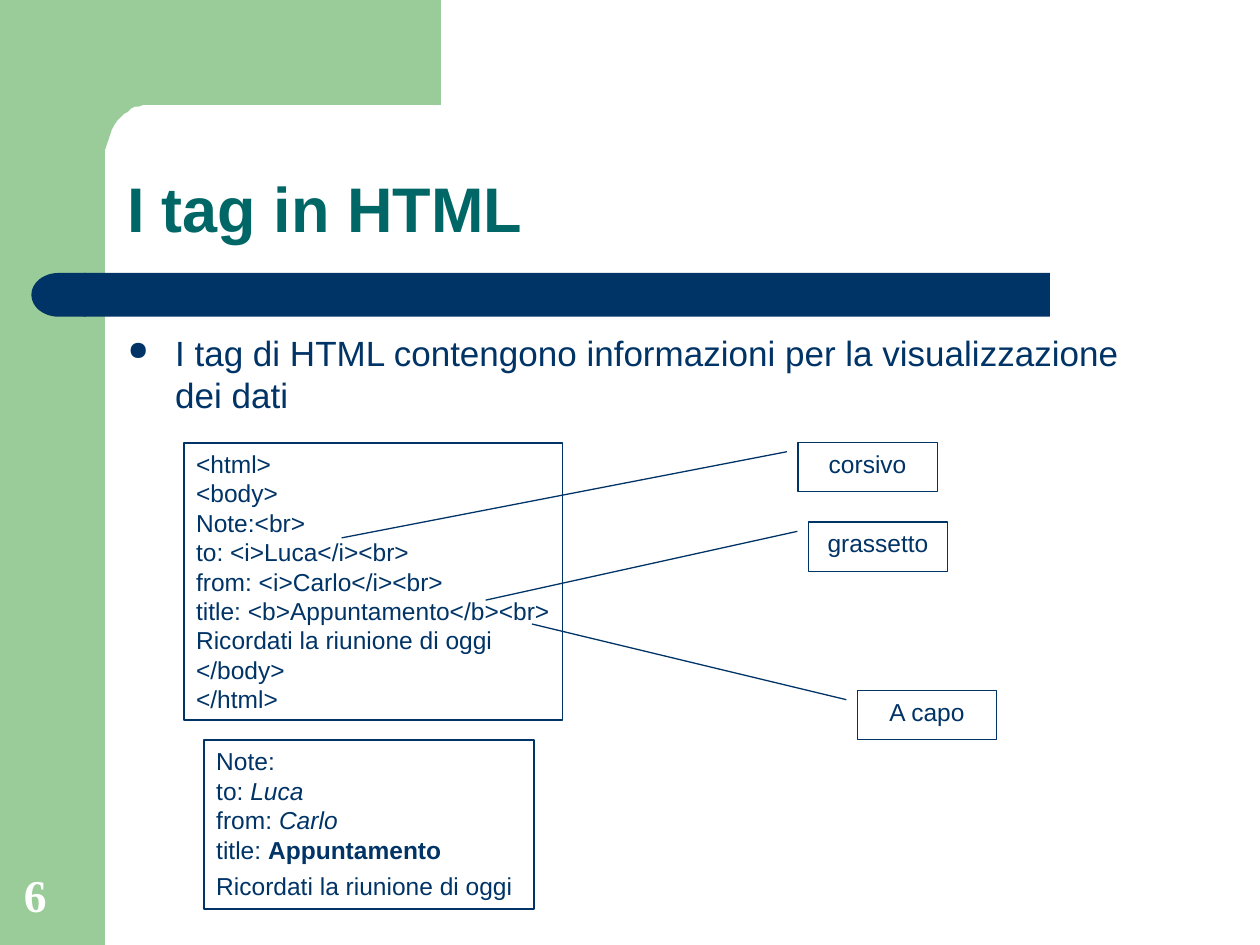
from math import cos, pi, sin

from lxml import etree
from pptx import Presentation
from pptx.dml.color import RGBColor
from pptx.enum.shapes import MSO_SHAPE as SHAPE
from pptx.enum.text import MSO_ANCHOR as ANCHOR, PP_ALIGN as ALIGN
from pptx.oxml.ns import qn
from pptx.util import Pt

COLORS = {"green": "99CC99", "navy": "003366", "teal": "006666", "white": "FFFFFF"}

HTML_LINES = [
    "<html>", "<body>", "Note:<br>", "to: <i>Luca</i><br>",
    "from: <i>Carlo</i><br>", "title: <b>Appuntamento</b><br>",
    "Ricordati la riunione di oggi", "</body>", "</html>",
]
# Each line is a list of (text, style) runs
SOURCE = [[(line, "")] for line in HTML_LINES]
RENDERED = [
    [("Note:", "")],
    [("to: ", ""), ("Luca", "i")],
    [("from: ", ""), ("Carlo", "i")],
    [("title: ", ""), ("Appuntamento", "b")],
    [("Ricordati la riunione di oggi", "")],
]
# Label, left, top, pointer end (y, x) as shares of the label's size
CALLOUTS = [
    ("grassetto", 462, 298.3, (1.58, -2.32)),
    ("corsivo", 456, 252.8, (1.93, -3.28)),
    ("A capo", 490, 394.5, (-1.34, -2.34)),
]


def rgb(name):
    return RGBColor.from_string(COLORS[name])


def paint(sp, fill=None, line=None, width=1):
    sp.shadow.inherit = False
    if fill:
        sp.fill.solid()
        sp.fill.fore_color.rgb = rgb(fill)
    else:
        sp.fill.background()
    if line:
        sp.line.color.rgb = rgb(line)
        sp.line.width = Pt(width)
    else:
        sp.line.fill.background()


def add_shape(slide, kind, box, **style):
    sp = slide.shapes.add_shape(kind, *map(Pt, box))
    paint(sp, **style)
    return sp


def add_text_box(slide, box, anchor=ANCHOR.TOP):
    tf = slide.shapes.add_textbox(*map(Pt, box)).text_frame
    tf.word_wrap = True
    tf.vertical_anchor = anchor
    return tf


def add_run(p, text, size, color="navy", style="", font="Arial"):
    r = p.add_run()
    r.text = text
    r.font.size, r.font.name = Pt(size), font
    r.font.bold, r.font.italic = "b" in style, "i" in style
    r.font.color.rgb = rgb(color)


def add_frame(slide, box):
    """Green side band and top block with a rounded inner corner."""
    x, y, w, h = box
    band, top, right = 60, 60, 252
    rx, ry = 24, 32
    add_shape(slide, SHAPE.RECTANGLE, (x, y, band, h), fill="green")
    steps = 16
    corner = [
        (x + band + rx * (1 - sin(a)), y + top + ry * (1 - cos(a)))
        for a in (pi / 2 * i / steps for i in range(steps + 1))
    ]
    left = x + 36
    fb = slide.shapes.build_freeform(x + right, y, scale=Pt(1))
    fb.add_line_segments(
        [(x + right, y + top), *corner, (left, y + top + ry), (left, y)], close=True
    )
    paint(fb.convert_to_shape(), fill="green")


def add_bar(slide, box):
    """Navy bar with a round left end."""
    x, y, w, h = box
    cap = 31
    add_shape(slide, SHAPE.RECTANGLE, (x + cap - 1, y, w - cap + 1, h), fill="navy")
    end = add_shape(slide, SHAPE.FLOWCHART_DELAY, (x, y, cap, h), fill="navy")
    end.element.spPr.find(qn("a:xfrm")).set("flipH", "1")


def add_title(slide, box):
    p = add_text_box(slide, box, ANCHOR.BOTTOM).paragraphs[0]
    p.line_spacing = 0.9
    add_run(p, "I tag in HTML", 36, "teal", "b")


def add_body(slide, box):
    p = add_text_box(slide, box).paragraphs[0]
    p.space_before = Pt(5)
    pPr = p._p.get_or_add_pPr()
    pPr.set("marL", str(Pt(27)))
    pPr.set("indent", str(-Pt(27)))
    color = etree.SubElement(pPr, qn("a:buClr"))
    etree.SubElement(color, qn("a:srgbClr"), val=COLORS["navy"])
    etree.SubElement(pPr, qn("a:buSzPct"), val="75000")
    etree.SubElement(pPr, qn("a:buChar"), char="●")
    add_run(p, "I tag di HTML contengono informazioni per la visualizzazione dei dati", 20)


def add_listing(slide, box, lines, last_gap=0):
    """Outlined box with one paragraph per line."""
    tf = add_shape(slide, SHAPE.RECTANGLE, box, line="navy").text_frame
    tf.word_wrap = False
    tf.vertical_anchor = ANCHOR.TOP
    for i, runs in enumerate(lines):
        p = tf.add_paragraph() if i else tf.paragraphs[0]
        p.alignment = ALIGN.LEFT
        for text, style in runs:
            add_run(p, text, 14, style=style)
    p.space_before = Pt(last_gap)


def add_callout(slide, box, label, target):
    sp = add_shape(slide, SHAPE.LINE_CALLOUT_1, box, line="navy", width=0.75)
    for i, value in enumerate((0.19, -0.08, *target)):
        sp.adjustments[i] = value
    tf = sp.text_frame
    tf.word_wrap = True
    tf.vertical_anchor = ANCHOR.TOP
    p = tf.paragraphs[0]
    p.alignment = ALIGN.CENTER
    add_run(p, label, 14)


def add_number(slide, box):
    p = add_text_box(slide, box, ANCHOR.BOTTOM).paragraphs[0]
    add_run(p, "6", 26, "white", "b", "Times New Roman")


def main():
    prs = Presentation()
    prs.slide_width, prs.slide_height = Pt(720), Pt(540)
    slide = prs.slides.add_slide(prs.slide_layouts[6])

    # Decoration
    add_frame(slide, (0, 0, 720, 540))
    add_bar(slide, (18, 156, 582, 25))

    # Heading and bullet
    add_title(slide, (65.5, 65.5, 613, 78.5))
    add_body(slide, (66, 186, 605.5, 293))

    # HTML source, its labels and the result
    add_listing(slide, (105, 253, 216.5, 158.5), SOURCE)
    for label, x, y, target in CALLOUTS:
        add_callout(slide, (x, y, 79.5, 28.3), label, target)
    add_listing(slide, (116.5, 423, 188.5, 96.5), RENDERED, last_gap=4)

    add_number(slide, (6.5, 492, 46, 38))
    prs.save("out.pptx")


if __name__ == "__main__":
    main()
